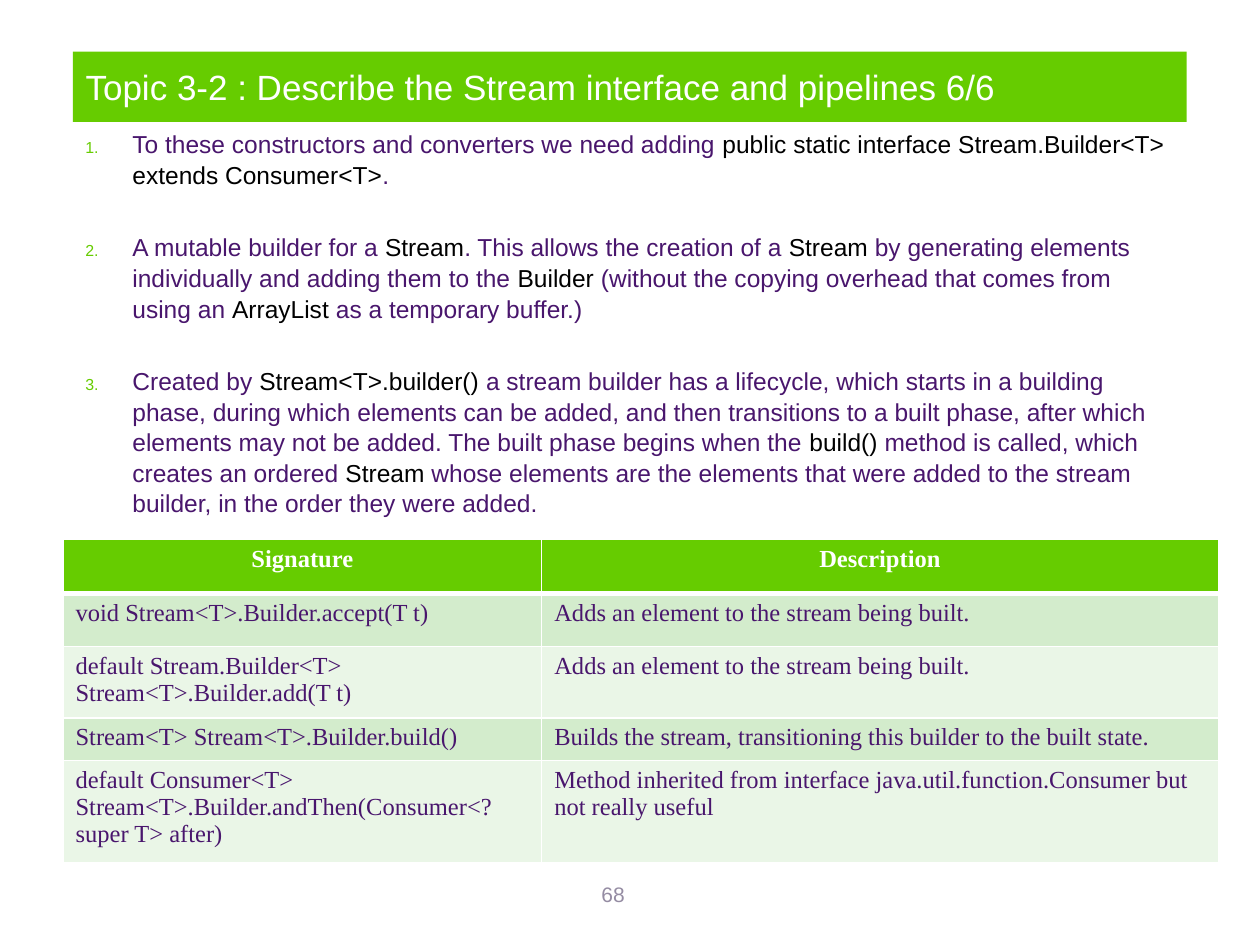
"""Build the slide on the Stream.Builder interface and its methods."""
from dataclasses import dataclass

from lxml.etree import SubElement
from pptx import Presentation
from pptx.dml.color import RGBColor
from pptx.enum.text import MSO_ANCHOR as Anchor, MSO_AUTO_SIZE as AutoSize, PP_ALIGN as Align
from pptx.oxml.ns import qn
from pptx.util import Cm, Pt


@dataclass(frozen=True)
class Theme:
    green: str = "66CC00"
    purple: str = "49166D"
    code: str = "000000"
    white: str = "FFFFFF"
    grey: str = "958CA3"
    bands: tuple = ("D3ECCC", "EAF6E7")
    sans: str = "Arial"
    serif: str = "Times New Roman"
    title_size: int = 20
    text_size: int = 14
    number_size: int = 12


def set_font(font, name, size, color, bold=False):
    font.name = name
    font.size = Pt(size)
    font.bold = bold
    font.color.rgb = RGBColor.from_string(color)


def add_border(cell, side, width):
    properties = cell._tc.get_or_add_tcPr()
    line = SubElement(properties, qn(f"a:{side}"), w=str(Pt(width)))
    fill = SubElement(line, qn("a:solidFill"))
    SubElement(fill, qn("a:srgbClr"), val=theme.white)


theme = Theme()
presentation = Presentation()
presentation.slide_width = Cm(25.4)
presentation.slide_height = Cm(19.05)
slide = presentation.slides.add_slide(presentation.slide_layouts[5])

title = slide.shapes.title
title.left, title.top, title.width, title.height = Cm(1.47), Cm(1.04), Cm(22.45), Cm(1.42)
title.fill.solid()
title.fill.fore_color.rgb = RGBColor.from_string(theme.green)
title.text_frame.text = "Topic 3-2 : Describe the Stream interface and pipelines 6/6"
title.text_frame.auto_size = AutoSize.NONE
title.text_frame.vertical_anchor = Anchor.MIDDLE
paragraph = title.text_frame.paragraphs[0]
paragraph.alignment = Align.LEFT
set_font(paragraph.font, theme.sans, theme.title_size, theme.white)

# Odd-numbered pieces of each point are code.
points = [
    ["To these constructors and converters we need adding ",
     "public static interface Stream.Builder<T> extends Consumer<T>", "."],
    ["A mutable builder for a ", "Stream", ". This allows the creation of a ", "Stream",
     " by generating elements individually and adding them to the ", "Builder",
     " (without the copying overhead that comes from using an ", "ArrayList ",
     "as a temporary buffer.)"],
    ["Created by ", "Stream<T>.builder() ",
     "a stream builder has a lifecycle, which starts in a building phase, during which "
     "elements can be added, and then transitions to a built phase, after which elements "
     "may not be added. The built phase begins when the ", "build() ",
     "method is called, which creates an ordered ", "Stream",
     " whose elements are the elements that were added to the stream builder, "
     "in the order they were added."],
]
body = slide.shapes.add_textbox(Cm(1.47), Cm(2.46), Cm(22.45), Cm(12.37))
body.text_frame.word_wrap = True
for index, pieces in enumerate(points):
    paragraph = body.text_frame.paragraphs[0] if index == 0 else body.text_frame.add_paragraph()
    paragraph.line_spacing = 1.04
    paragraph.space_before = Pt(24 if index else 0)
    properties = paragraph._p.get_or_add_pPr()
    properties.set("marL", str(Cm(0.95)))
    properties.set("indent", str(-Cm(0.95)))
    bullet_color = SubElement(properties, qn("a:buClr"))
    SubElement(bullet_color, qn("a:srgbClr"), val=theme.green)
    SubElement(properties, qn("a:buSzPct"), val="65000")
    SubElement(properties, qn("a:buAutoNum"), type="arabicPeriod")
    set_font(paragraph.font, theme.sans, theme.text_size, theme.purple)
    for position, piece in enumerate(pieces):
        run = paragraph.add_run()
        run.text = piece
        if position % 2:
            run.font.color.rgb = RGBColor.from_string(theme.code)

rows = [
    ("Signature", "Description"),
    ("void Stream<T>.Builder.accept(T t)", "Adds an element to the stream being built."),
    ("default Stream.Builder<T> Stream<T>.Builder.add(T t)",
     "Adds an element to the stream being built."),
    ("Stream<T> Stream<T>.Builder.build()",
     "Builds the stream, transitioning this builder to the built state."),
    ("default Consumer<T> Stream<T>.Builder.andThen(Consumer<? super T> after)",
     "Method inherited from interface java.util.function.Consumer but not really useful"),
]
column_widths = [9.65, 13.64]
row_heights = [1.09, 1.07, 1.35, 0.86, 2.06]
table = slide.shapes.add_table(len(rows), len(column_widths), Cm(1.27), Cm(10.87),
                               Cm(sum(column_widths)), Cm(sum(row_heights))).table
for column, width in zip(table.columns, column_widths):
    column.width = Cm(width)
for row_index, (texts, height) in enumerate(zip(rows, row_heights)):
    table.rows[row_index].height = Cm(height)
    header = row_index == 0
    for column_index, text in enumerate(texts):
        cell = table.cell(row_index, column_index)
        cell.text = text
        for side in ("lnL", "lnR", "lnT", "lnB"):
            thick = (row_index, side) in ((0, "lnB"), (1, "lnT"))
            add_border(cell, side, 3 if thick else 1)
        cell.fill.solid()
        fill_color = theme.green if header else theme.bands[(row_index - 1) % 2]
        cell.fill.fore_color.rgb = RGBColor.from_string(fill_color)
        paragraph = cell.text_frame.paragraphs[0]
        paragraph.alignment = Align.CENTER if header else Align.LEFT
        set_font(paragraph.font, theme.serif, theme.text_size,
                 theme.white if header else theme.purple, header)

slide_number = slide.shapes.add_textbox(Cm(9.4), Cm(17.65), Cm(5.92), Cm(1.02))
slide_number.text_frame.word_wrap = True
paragraph = slide_number.text_frame.paragraphs[0]
paragraph.text = "68"
paragraph.alignment = Align.CENTER
set_font(paragraph.font, theme.sans, theme.number_size, theme.grey)

presentation.save("out.pptx")
